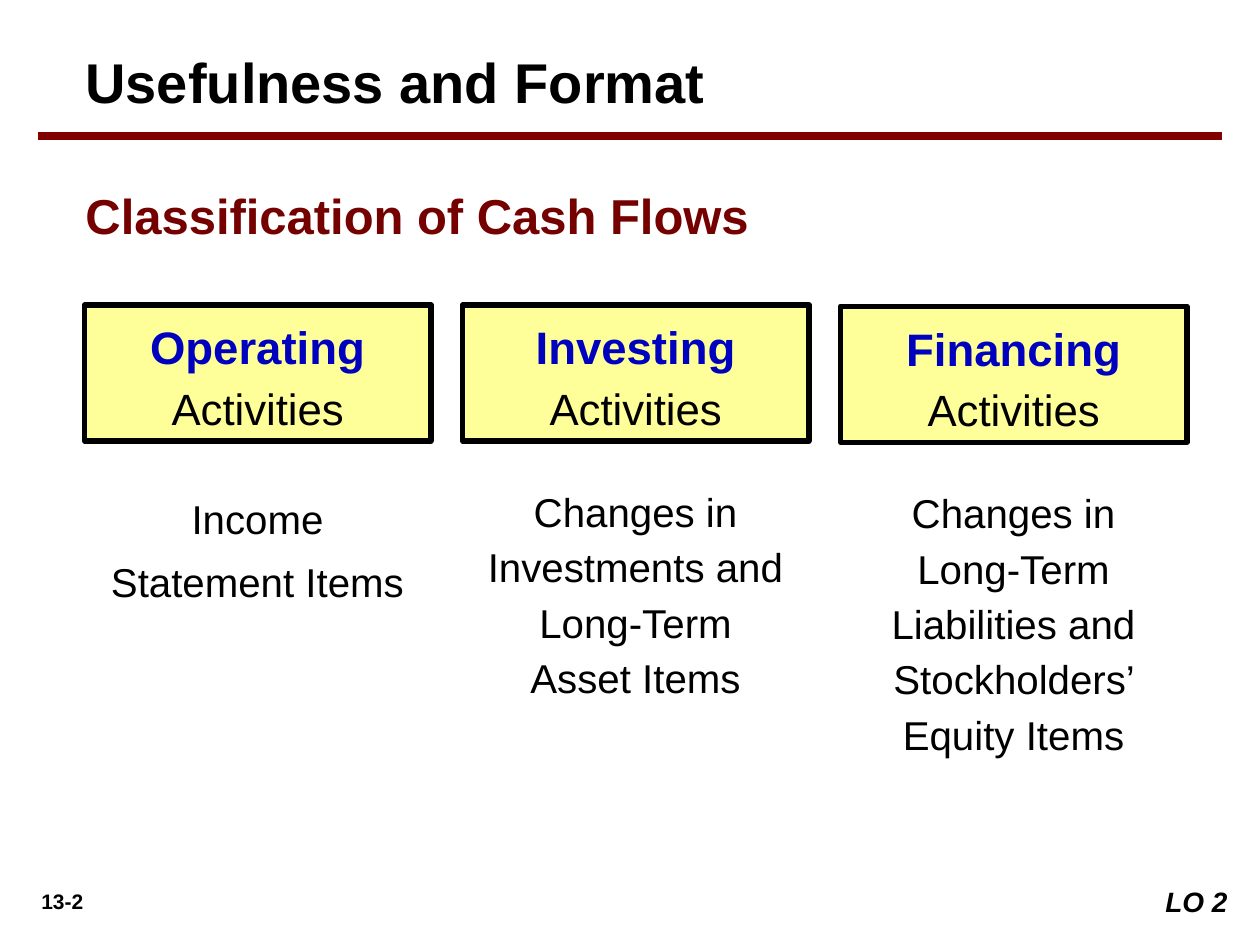
from dataclasses import dataclass

from lxml import etree
from pptx import Presentation
from pptx.dml.color import RGBColor
from pptx.enum.shapes import MSO_CONNECTOR, MSO_SHAPE
from pptx.enum.text import MSO_ANCHOR, PP_ALIGN
from pptx.oxml.ns import qn
from pptx.util import Inches, Pt

LEFT, CENTER, RIGHT = PP_ALIGN.LEFT, PP_ALIGN.CENTER, PP_ALIGN.RIGHT
TOP = MSO_ANCHOR.TOP
RECTANGLE = MSO_SHAPE.RECTANGLE
STRAIGHT = MSO_CONNECTOR.STRAIGHT

BLACK = RGBColor(0x00, 0x00, 0x00)
WHITE = RGBColor(0xFF, 0xFF, 0xFF)
MAROON = RGBColor(0x74, 0x00, 0x00)
RULE_RED = RGBColor(0x80, 0x00, 0x00)
BLUE = RGBColor(0x00, 0x00, 0xBF)
YELLOW = RGBColor(0xFF, 0xFF, 0x99)

FONT = "Arial"
COLUMN_LEFT = 0.67
COLUMN_STEP = 3
BOX_WIDTH = 2.75


@dataclass
class Run:
    text: str
    size: float
    color: RGBColor = BLACK
    bold: bool = False
    italic: bool = False


@dataclass
class Area:
    left: float
    top: float
    width: float
    height: float

    def lengths(self) -> list:
        return [Inches(value) for value in (self.left, self.top, self.width, self.height)]


@dataclass
class Activity:
    name: str
    items: str
    top: float
    inset: float
    items_height: float
    line_spacing: float


ACTIVITIES = [
    Activity("Operating", "Income Statement Items", 2.42, 0, 1.1, 1.3),
    Activity("Investing", "Changes in Investments and Long-Term Asset Items",
             2.42, 0.08, 1.86, 1.15),
    Activity("Financing", "Changes in Long-Term Liabilities and Stockholders’ Equity Items",
             2.43, 0.08, 2.3, 1.15),
]


def write_text(shape, runs: list[Run], alignment=LEFT, line_spacing: float = 1.0) -> None:
    frame = shape.text_frame
    frame.word_wrap = True
    frame.vertical_anchor = TOP
    paragraph = frame.paragraphs[0]
    paragraph.alignment = alignment
    paragraph.line_spacing = line_spacing
    for item in runs:
        run = paragraph.add_run()
        run.text = item.text
        run.font.name = FONT
        run.font.size = Pt(item.size)
        run.font.bold = item.bold
        run.font.italic = item.italic
        run.font.color.rgb = item.color


def add_label(slide, area: Area, run: Run, alignment=LEFT, line_spacing: float = 1.0) -> None:
    label = slide.shapes.add_textbox(*area.lengths())
    write_text(label, [run], alignment, line_spacing)


def add_rectangle(slide, area: Area, fill: RGBColor):
    shape = slide.shapes.add_shape(RECTANGLE, *area.lengths())
    shape.shadow.inherit = False
    shape.fill.solid()
    shape.fill.fore_color.rgb = fill
    shape.line.fill.background()
    return shape


def add_activity(slide, activity: Activity, left: float) -> None:
    items_area = Area(left + activity.inset, activity.top + 1.34,
                      BOX_WIDTH - 2 * activity.inset, activity.items_height)
    add_label(slide, items_area, Run(activity.items, 23), CENTER, activity.line_spacing)
    box = add_rectangle(slide, Area(left, activity.top, BOX_WIDTH, 1.08), YELLOW)
    box.line.color.rgb = BLACK
    box.line.width = Pt(3)
    heading = [Run(activity.name + " ", 26, BLUE, bold=True), Run("Activities", 25)]
    write_text(box, heading, CENTER, 1.15)


def add_title_rule(slide) -> None:
    rule = slide.shapes.add_connector(
        STRAIGHT, Inches(0.3), Inches(1.08), Inches(9.7), Inches(1.08))
    rule.line.color.rgb = RULE_RED
    rule.line.width = Pt(4.5)
    etree.SubElement(rule._element.spPr, qn("a:effectLst"))


def main() -> None:
    presentation = Presentation()
    presentation.slide_width = Inches(10)
    presentation.slide_height = Inches(7.5)
    slide = presentation.slides.add_slide(presentation.slide_layouts[6])

    add_label(slide, Area(0.08, 7, 0.83, 0.3), Run("13-2", 12, bold=True), CENTER)
    add_label(slide, Area(0.58, 1.42, 9, 0.57),
              Run("Classification of Cash Flows", 28, MAROON, bold=True))
    for index, activity in enumerate(ACTIVITIES):
        add_activity(slide, activity, COLUMN_LEFT + index * COLUMN_STEP)
    add_label(slide, Area(0.58, 0.33, 8.33, 0.61),
              Run("Usefulness and Format", 32, bold=True))
    add_title_rule(slide)
    objective = add_rectangle(slide, Area(8.92, 6.97, 0.92, 0.37), WHITE)
    write_text(objective, [Run("LO 2", 16, bold=True, italic=True)], RIGHT)

    presentation.save("out.pptx")


if __name__ == "__main__":
    main()
